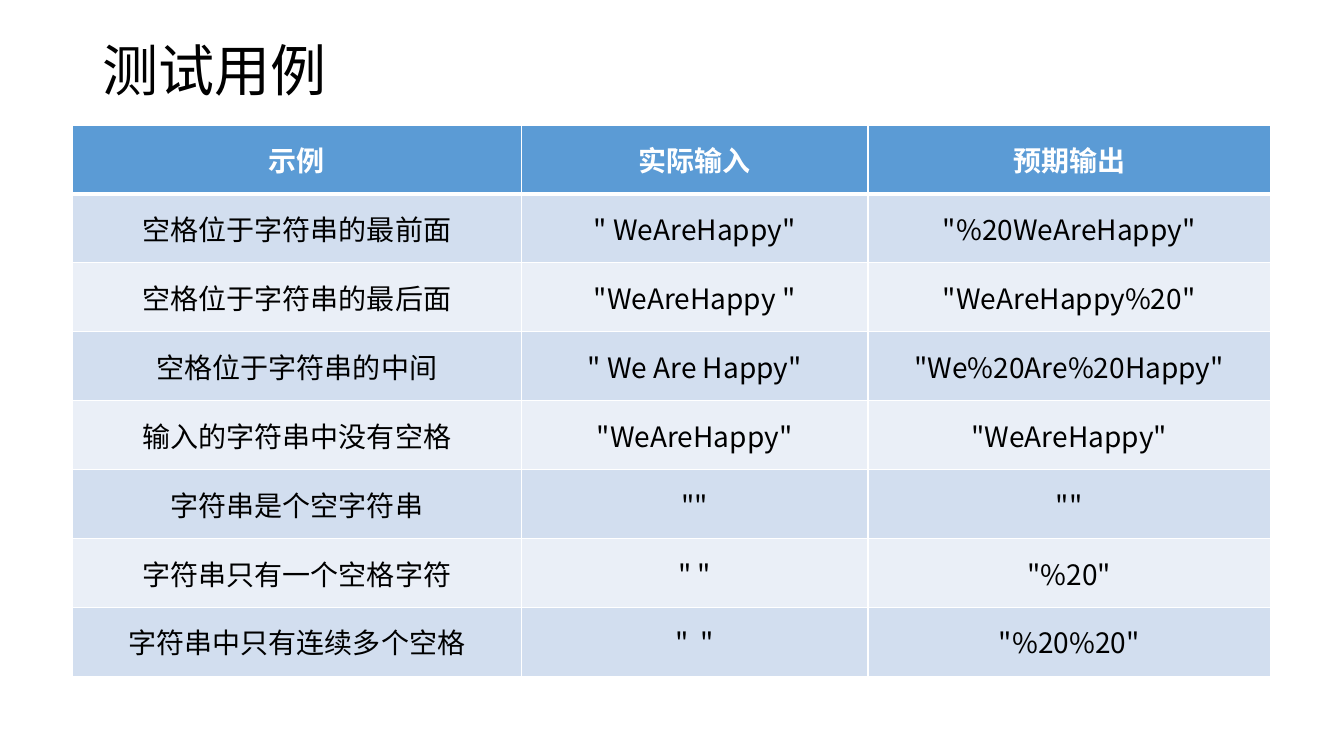
from lxml.etree import SubElement
from pptx import Presentation
from pptx.dml.color import RGBColor
from pptx.enum.text import MSO_ANCHOR, PP_ALIGN
from pptx.oxml import parse_xml
from pptx.oxml.ns import nsdecls, qn
from pptx.util import Inches, Pt


def rgb(value):
    return RGBColor.from_string(value)


def apply(target, values):
    for name, value in values.items():
        setattr(target, name, value)


class SlideBuilder:
    font = "Noto Sans CJK SC"
    black, white = "000000", "FFFFFF"
    header, bands = "5B9BD5", ("D2DEEF", "EAEFF7")
    cell_format = {
        "vertical_anchor": MSO_ANCHOR.MIDDLE,
        "margin_left": Inches(0.11), "margin_right": Inches(0.11),
        "margin_top": Inches(0.06), "margin_bottom": Inches(0.06),
    }

    def __init__(self, s):
        self.s = s

    def add_text(self, p, text, size, color, bold=False):
        r = p.add_run()
        r.text = text
        r.font.color.rgb = rgb(color)
        apply(r.font, {"size": Pt(size), "bold": bold, "name": self.font})
        SubElement(r._r.get_or_add_rPr(), qn("a:ea"), typeface=self.font)

    def title(self, text, left, top, width, height):
        sp = self.s.shapes.title
        apply(sp, {"left": Inches(left), "top": Inches(top),
                   "width": Inches(width), "height": Inches(height)})
        apply(sp.text_frame, {"vertical_anchor": MSO_ANCHOR.MIDDLE, "word_wrap": True})
        p = sp.text_frame.paragraphs[0]
        apply(p, {"alignment": PP_ALIGN.LEFT, "line_spacing": 0.9})
        self.add_text(p, text, 40, self.black)

    def borders(self, cell, widths):
        tcPr = cell._tc.get_or_add_tcPr()
        for i, (side, width) in enumerate(widths.items()):
            tcPr.insert(i, parse_xml(
                f'<a:ln{side} {nsdecls("a")} w="{Pt(width)}"><a:solidFill>'
                f'<a:srgbClr val="{self.white}"/></a:solidFill></a:ln{side}>'))

    def table(self, rows, left, top, col_widths, row_height):
        frame = self.s.shapes.add_table(
            len(rows), len(col_widths), Inches(left), Inches(top),
            Inches(sum(col_widths)), Inches(row_height * len(rows)))
        table = frame.table
        for column, width in zip(table.columns, col_widths):
            column.width = Inches(width)
        for i, row in enumerate(rows):
            is_header = i == 0
            fill = self.header if is_header else self.bands[(i - 1) % 2]
            color = self.white if is_header else self.black
            # A thick rule separates the header from the body
            widths = {"L": 1, "R": 1, "T": 3 if i == 1 else 1, "B": 3 if is_header else 1}
            for j, text in enumerate(row):
                cell = table.cell(i, j)
                apply(cell, self.cell_format)
                cell.fill.solid()
                cell.fill.fore_color.rgb = rgb(fill)
                self.borders(cell, widths)
                p = cell.text_frame.paragraphs[0]
                p.alignment = PP_ALIGN.CENTER
                self.add_text(p, text, 20, color, is_header)


prs = Presentation()
prs.slide_width, prs.slide_height = Inches(13.33), Inches(7.5)
slide = SlideBuilder(prs.slides.add_slide(prs.slide_layouts[5]))

# Title
slide.title("测试用例", 0.92, 0, 11.5, 1.45)

# Test case table
test_cases = [
    ("示例", "实际输入", "预期输出"),
    ("空格位于字符串的最前面", '" WeAreHappy"', '"%20WeAreHappy"'),
    ("空格位于字符串的最后面", '"WeAreHappy "', '"WeAreHappy%20"'),
    ("空格位于字符串的中间", '" We Are Happy"', '"We%20Are%20Happy"'),
    ("输入的字符串中没有空格", '"WeAreHappy"', '"WeAreHappy"'),
    ("字符串是个空字符串", '""', '""'),
    ("字符串只有一个空格字符", '" "', '"%20"'),
    ("字符串中只有连续多个空格", '"  "', '"%20%20"'),
]
slide.table(test_cases, 0.72, 1.24, (4.45, 3.44, 3.99), 5.47 / len(test_cases))

prs.save("out.pptx")
